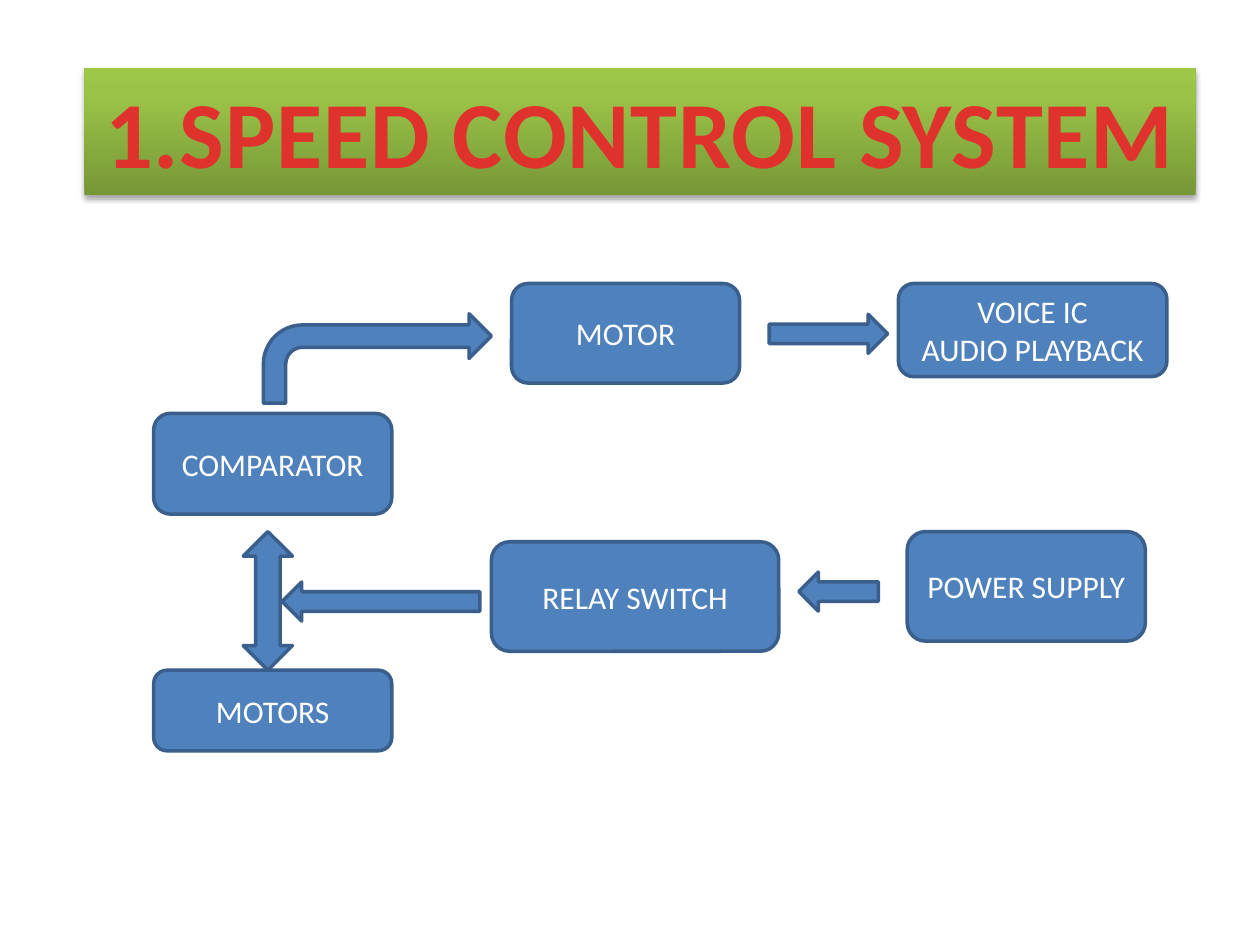
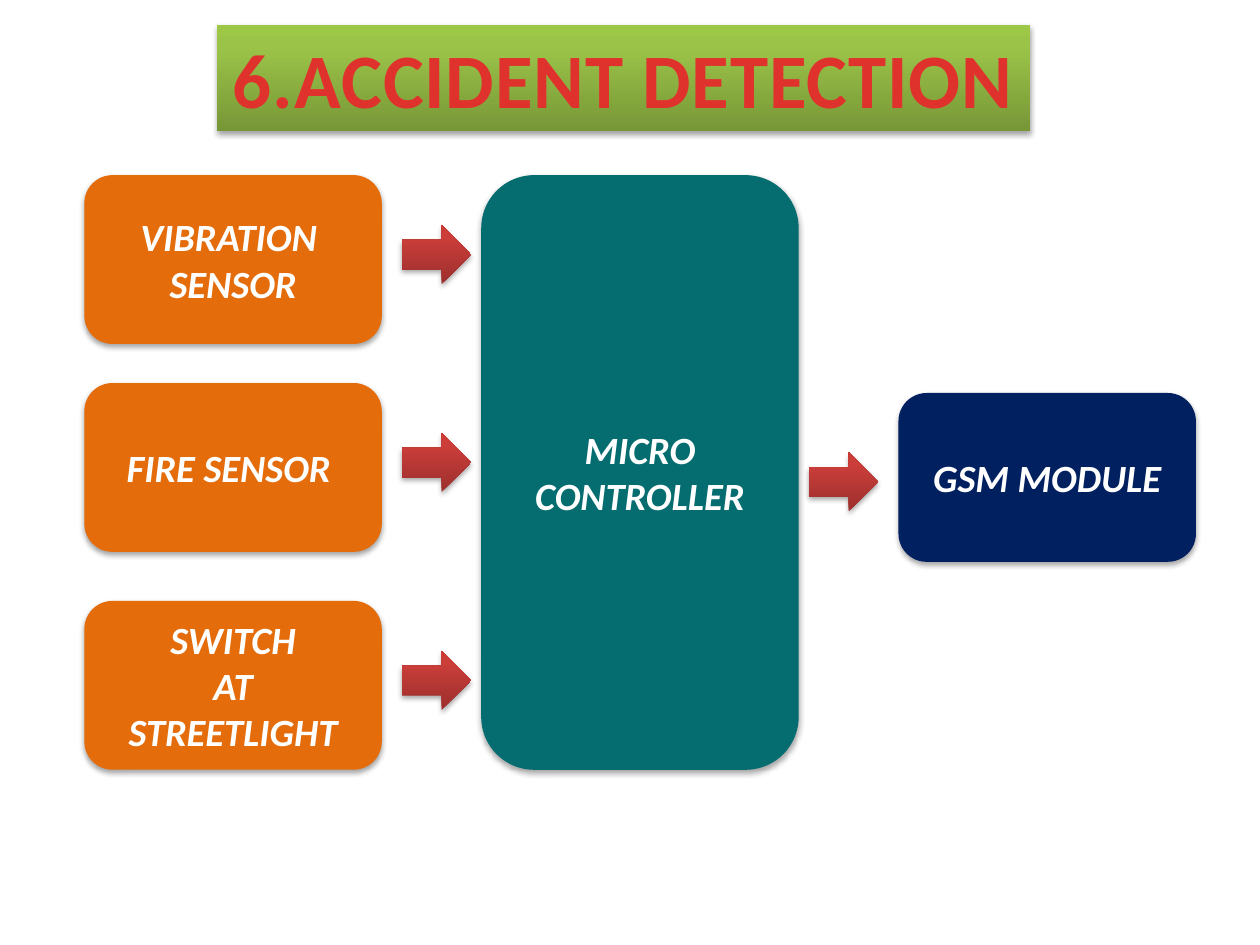
from dataclasses import dataclass
from typing import NamedTuple

from lxml import etree
from pptx import Presentation
from pptx.dml.color import RGBColor
from pptx.enum.shapes import MSO_SHAPE as Preset
from pptx.enum.text import MSO_ANCHOR as Anchor, MSO_AUTO_SIZE as AutoSize, PP_ALIGN as Align
from pptx.oxml.ns import qn
from pptx.shapes.autoshape import Shape
from pptx.slide import Slide
from pptx.util import Pt

FONT = "Calibri"
WHITE, BLUE, BLUE_EDGE = "FFFFFF", "4F81BD", "3A5F8C"
ORANGE, TEAL, NAVY = "E46C0A", "056C6F", "002060"


class Gradient(NamedTuple):
    stops: tuple[tuple[int, str], ...]
    angle: int


class Box(NamedTuple):
    left: float
    top: float
    width: float
    height: float


GREEN_BAND = Gradient(((0, "779737"), (80, "9BC348"), (100, "9DC746")), 270)
RED_ARROW = Gradient(((0, "9C2F2D"), (80, "CB3E3A"), (100, "CE3B37")), 270)
RED_TEXT = Gradient(((25, "E0322D"), (100, "A2201C")), 90)


@dataclass(frozen=True)
class Style:
    fill: str | Gradient
    edge: str | None = None
    shadow: bool = False
    text_size: float = 18
    emphasis: bool = False


@dataclass(frozen=True)
class Part:
    preset: Preset
    box: Box
    style: Style
    lines: tuple[str, ...] = ()


FLOW = Style(BLUE, edge=BLUE_EDGE)
BAND = Style(GREEN_BAND, shadow=True)
SIGNAL = Style(RED_ARROW, shadow=True)
SENSOR, CONTROLLER, MODULE = (
    Style(fill, shadow=True, text_size=22, emphasis=True) for fill in (ORANGE, TEAL, NAVY)
)


def color(value: str) -> RGBColor:
    return RGBColor.from_string(value)


def gradient_element(gradient: Gradient) -> etree._Element:
    fill = etree.Element(qn("a:gradFill"), rotWithShape="1")
    stops = etree.SubElement(fill, qn("a:gsLst"))
    for position, value in gradient.stops:
        stop = etree.SubElement(stops, qn("a:gs"), pos=str(position * 1000))
        etree.SubElement(stop, qn("a:srgbClr"), val=value)
    etree.SubElement(fill, qn("a:lin"), ang=str(gradient.angle * 60000), scaled="0")
    return fill


def add_shadow(shape: Shape) -> None:
    effects = shape._element.spPr.find(qn("a:effectLst"))
    shadow = etree.SubElement(
        effects, qn("a:outerShdw"), blurRad=str(Pt(3.1)), dist=str(Pt(1.8)),
        dir=str(90 * 60000), rotWithShape="0",
    )
    tint = etree.SubElement(shadow, qn("a:srgbClr"), val="000000")
    etree.SubElement(tint, qn("a:alpha"), val="35000")


def add_part(slide: Slide, part: Part) -> Shape:
    style = part.style
    shape = slide.shapes.add_shape(part.preset, *map(Pt, part.box))
    shape.shadow.inherit = False
    if isinstance(style.fill, Gradient):
        geometry = shape._element.spPr.find(qn("a:prstGeom"))
        geometry.addnext(gradient_element(style.fill))
    else:
        shape.fill.solid()
        shape.fill.fore_color.rgb = color(style.fill)
    if style.edge:
        shape.line.color.rgb = color(style.edge)
        shape.line.width = Pt(2)
    else:
        shape.line.fill.background()
    if style.shadow:
        add_shadow(shape)
    if part.lines:
        write_lines(shape, part)
    return shape


def write_lines(shape: Shape, part: Part) -> None:
    frame = shape.text_frame
    frame.word_wrap = True
    frame.vertical_anchor = Anchor.MIDDLE
    for index, line in enumerate(part.lines):
        paragraph = frame.add_paragraph() if index else frame.paragraphs[0]
        paragraph.alignment = Align.CENTER
        run = paragraph.add_run()
        run.text = line
        run.font.name = FONT
        run.font.size = Pt(part.style.text_size)
        run.font.bold = run.font.italic = part.style.emphasis
        run.font.color.rgb = color(WHITE)


def add_title(slide: Slide, title: str, box: Box, size: float, wrap: bool) -> None:
    frame = add_part(slide, Part(Preset.RECTANGLE, box, BAND)).text_frame
    frame.word_wrap = wrap
    frame.auto_size = AutoSize.SHAPE_TO_FIT_TEXT
    frame.vertical_anchor = Anchor.TOP
    paragraph = frame.paragraphs[0]
    paragraph.alignment = Align.CENTER
    run = paragraph.add_run()
    run.text = title
    run.font.name = FONT
    run.font.size = Pt(size)
    run.font.bold = True
    properties = run._r.get_or_add_rPr()
    properties.set("spc", "50")
    properties.insert(0, gradient_element(RED_TEXT))


def speed_control_parts() -> list[Part]:
    def block(box: Box, *lines: str) -> Part:
        return Part(Preset.ROUNDED_RECTANGLE, box, FLOW, lines)

    def arrow(preset: Preset, box: Box) -> Part:
        return Part(preset, box, FLOW)

    block_width, arrow_height = 136.1, 22.3
    left_column, upper_row = 87.8, 162
    return [
        block(Box(280.8, 309.6, 164.2, 62.6), "RELAY SWITCH"),
        block(Box(292.3, upper_row, 130.3, 56.9), "MOTOR"),
        block(Box(left_column, 236.2, block_width, 57.6), "COMPARATOR"),
        block(Box(left_column, 383, block_width, 46.1), "MOTORS"),
        arrow(Preset.RIGHT_ARROW, Box(439.6, 179.6, 67.7, arrow_height)),
        arrow(Preset.LEFT_ARROW, Box(456.5, 326.9, 45.4, arrow_height)),
        arrow(Preset.UP_DOWN_ARROW, Box(139, 303.8, 28.1, 79.2)),
        arrow(Preset.LEFT_ARROW, Box(161.3, 332.6, 113, arrow_height)),
        block(Box(518.4, 303.8, block_width, 62.6), "POWER SUPPLY"),
        block(Box(513.4, upper_row, 153.4, 53.3), "VOICE IC", "AUDIO PLAYBACK"),
        arrow(Preset.BENT_ARROW, Box(150.5, 179.3, 130.3, 51.1)),
    ]


def accident_detection_parts() -> list[Part]:
    block_width, block_height = 170, 96.5
    first_top, last_top = 100.1, 343.4

    def block(left: float, top: float, style: Style, *lines: str) -> Part:
        box = Box(left, top, block_width, block_height)
        return Part(Preset.ROUNDED_RECTANGLE, box, style, lines)

    def signal(left: float, top: float) -> Part:
        return Part(Preset.RIGHT_ARROW, Box(left, top, 39.6, 33.8), SIGNAL)

    sensors = (
        (first_top, ("VIBRATION ", "SENSOR")),
        (218.9, ("FIRE SENSOR ",)),
        (last_top, ("SWITCH", "AT STREETLIGHT")),
    )
    controller = Box(275, first_top, 181.4, last_top + block_height - first_top)
    parts = [
        Part(Preset.ROUNDED_RECTANGLE, controller, CONTROLLER, ("MICRO", "CONTROLLER")),
        block(513.4, 224.6, MODULE, "GSM MODULE"),
        signal(462.2, 258.5),
    ]
    for top, lines in sensors:
        parts += [block(48.2, top, SENSOR, *lines), signal(229.7, top + 28.5)]
    return parts


def main() -> None:
    deck = Presentation()
    deck.slide_width, deck.slide_height = Pt(720), Pt(540)
    blank = deck.slide_layouts[6]
    pages = (
        ("1.SPEED CONTROL SYSTEM", Box(48.2, 38.9, 635, 72.7), 54, True, speed_control_parts()),
        ("6.ACCIDENT DETECTION", Box(123.8, 14.4, 465.1, 60.5), 44, False,
         accident_detection_parts()),
    )
    for title, box, size, wrap, parts in pages:
        slide = deck.slides.add_slide(blank)
        add_title(slide, title, box, size, wrap)
        for part in parts:
            add_part(slide, part)
    deck.save("out.pptx")


if __name__ == "__main__":
    main()
